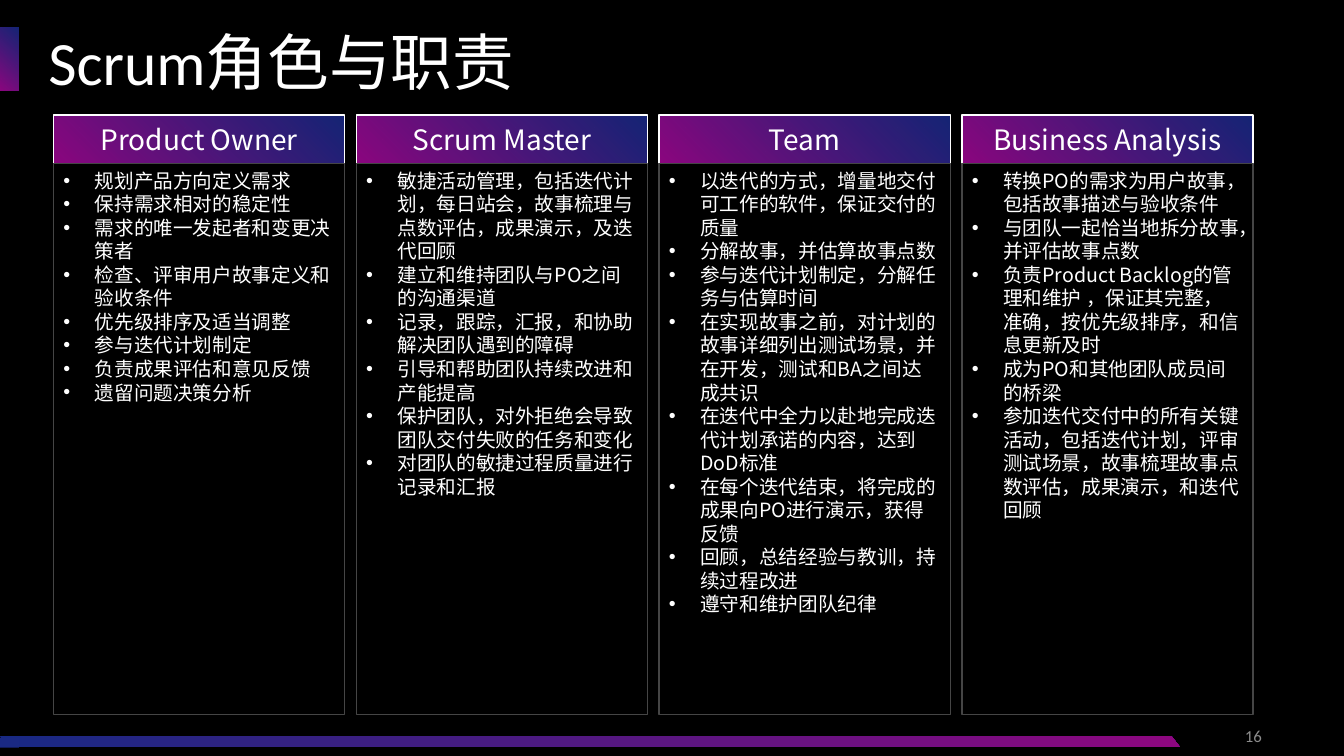
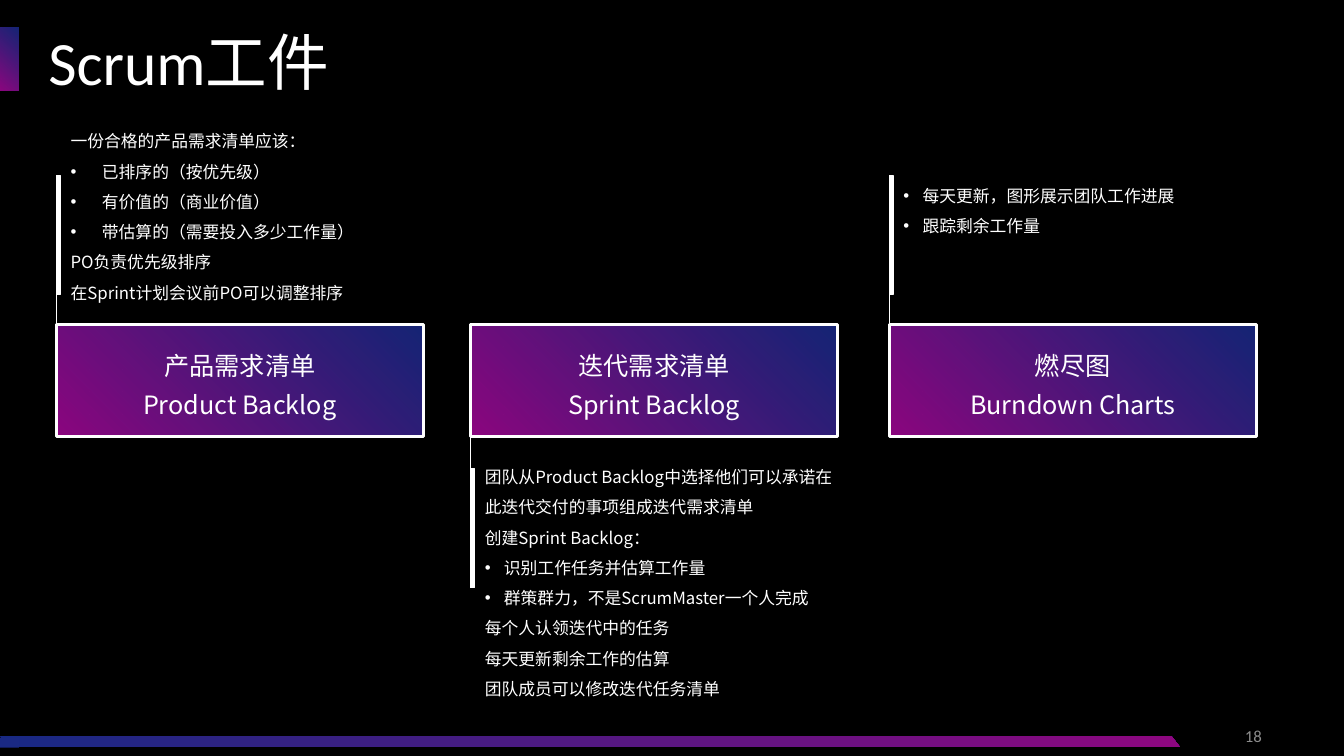
import pptx
import pptx.dml.color
import pptx.enum.shapes
import pptx.enum.text
import pptx.oxml.ns
import pptx.util
import lxml.etree

Cm = pptx.util.Cm
Pt = pptx.util.Pt
SHAPE = pptx.enum.shapes.MSO_SHAPE
ALIGN = pptx.enum.text.PP_ALIGN
ANCHOR = pptx.enum.text.MSO_ANCHOR

BULLET = "• "


def color(value):
    return pptx.dml.color.RGBColor.from_string(value)


def add_xml(parent, tag, **attributes):
    return lxml.etree.SubElement(parent, pptx.oxml.ns.qn(tag), attributes)


class Slides:
    BLUE, PURPLE, WHITE = "182983", "8D0780", "FFFFFF"
    BLACK, FRAME, NUMBER = "000000", "454545", "8C8C8C"
    HEADING_FONT, BODY_FONT = "Calibri", "Noto Sans CJK SC"

    def __init__(self):
        self.deck = pptx.Presentation()
        self.deck.slide_width, self.deck.slide_height = Cm(33.87), Cm(19.05)
        self.page = None

    def start(self, title, number):
        self.page = self.deck.slides.add_slide(self.deck.slide_layouts[6])
        background = self.page.background.fill
        background.solid()
        background.fore_color.rgb = color(self.BLACK)
        self.gradient(self.shape(0, 0.69, 0.46, 1.6))
        band = self.shape(0, 18.55, 29.74, 0.28, kind=SHAPE.PARALLELOGRAM)
        band.adjustments[0] = 0.775
        band.element.spPr.find(pptx.oxml.ns.qn("a:xfrm")).set("flipH", "1")
        self.gradient(band, angle=180, opacity=100)
        self.shape(0, 18.59, 0.48, 0.25, fill="1A2983")
        self.textbox(24.43, 18.03, 7.62, 1.02, [number], margins=(0.25, 0.13), size=12,
                     font=self.HEADING_FONT, ink=self.NUMBER, align=ALIGN.RIGHT,
                     anchor=ANCHOR.MIDDLE)
        self.textbox(0.97, 0.69, 28.19, 1.6, [title], margins=(0.25, 0.13), size=44,
                     font=self.HEADING_FONT, spacing=0.9)

    def shape(self, left, top, width, height, fill=None, line=None, weight=1,
              kind=SHAPE.RECTANGLE):
        box = self.page.shapes.add_shape(kind, Cm(left), Cm(top), Cm(width), Cm(height))
        box.shadow.inherit = False
        if fill:
            box.fill.solid()
            box.fill.fore_color.rgb = color(fill)
        else:
            box.fill.background()
        if line:
            box.line.color.rgb = color(line)
            box.line.width = Pt(weight)
        else:
            box.line.fill.background()
        return box

    def gradient(self, box, angle=135, opacity=90):
        box.fill.gradient()
        box.fill.gradient_angle = 360 - angle
        stops = box.fill.gradient_stops
        for stop, value, position in zip(stops, (self.BLUE, self.PURPLE), (0, 1)):
            stop.color.rgb = color(value)
            stop.position = position
        if opacity < 100:
            first = box.element.spPr.find(".//" + pptx.oxml.ns.qn("a:srgbClr"))
            add_xml(first, "a:alpha", val=str(opacity * 1000))

    def set_text(self, box, lines, size, margins=(0.25, 0.13), font=BODY_FONT, ink=WHITE,
                 align=ALIGN.LEFT, anchor=ANCHOR.TOP, spacing=None, indent=0.79):
        frame = box.text_frame
        frame.word_wrap = True
        frame.vertical_anchor = anchor
        frame.margin_left = frame.margin_right = Cm(margins[0])
        frame.margin_top = frame.margin_bottom = Cm(margins[1])
        frame.text = "\n".join(line.removeprefix(BULLET) for line in lines)
        for line, para in zip(lines, frame.paragraphs):
            para.alignment = align
            if spacing:
                para.line_spacing = spacing
            if line.startswith(BULLET):
                properties = para._p.get_or_add_pPr()
                properties.set("marL", str(Cm(indent)))
                properties.set("indent", str(-Cm(indent)))
                add_xml(properties, "a:buFont", typeface="Arial")
                add_xml(properties, "a:buChar", char=BULLET.strip())
            for span in para.runs:
                span.font.size = Pt(size)
                span.font.name = font
                span.font.color.rgb = color(ink)
                add_xml(span._r.get_or_add_rPr(), "a:ea", typeface=self.BODY_FONT)

    def textbox(self, left, top, width, height, lines, **style):
        box = self.page.shapes.add_textbox(Cm(left), Cm(top), Cm(width), Cm(height))
        self.set_text(box, lines, **style)

    def panel(self, left, top, width, height, lines, weight=1, **style):
        box = self.shape(left, top, width, height, line=self.WHITE, weight=weight)
        self.gradient(box)
        self.set_text(box, lines, align=ALIGN.CENTER, anchor=ANCHOR.MIDDLE, **style)

    def role(self, left, name, duties):
        top, width, header = 2.9, 7.34, 1.22
        self.panel(left, top, width, header, [name], size=20)
        body = self.shape(left, top + header, width, 13.89, line=self.FRAME)
        self.set_text(body, [BULLET + duty for duty in duties], size=14)

    def line(self, left, top, bottom):
        link = self.page.shapes.add_connector(
            pptx.enum.shapes.MSO_CONNECTOR.STRAIGHT, Cm(left), Cm(top), Cm(left), Cm(bottom))
        link.line.color.rgb = color(self.WHITE)
        link.line.width = Pt(0.5)
        add_xml(link.element.spPr, "a:effectLst")

    def artifact(self, left, names, bar_top, note_top, note_height, notes, indent):
        top, width, height, bar_height, gap = 8.18, 9.25, 2.82, 3, 0.36
        self.line(left, min(bar_top, top), max(bar_top + bar_height, top + height))
        self.shape(left, bar_top, 0.1, bar_height, fill=self.WHITE, line=self.WHITE)
        self.panel(left, top, width, height, names, weight=2, size=18,
                   margins=(0.36, 0.18), spacing=1.3)
        self.textbox(left + gap, note_top, width - gap, note_height, notes, size=12,
                     margins=(0, 0), spacing=1.5, indent=indent)


ROLES = {
    "Product Owner": [
        "规划产品方向定义需求",
        "保持需求相对的稳定性",
        "需求的唯一发起者和变更决策者",
        "检查、评审用户故事定义和验收条件",
        "优先级排序及适当调整",
        "参与迭代计划制定",
        "负责成果评估和意见反馈",
        "遗留问题决策分析",
    ],
    "Scrum Master": [
        "敏捷活动管理，包括迭代计划，每日站会，故事梳理与点数评估，成果演示，及迭代回顾",
        "建立和维持团队与PO之间的沟通渠道",
        "记录，跟踪，汇报，和协助解决团队遇到的障碍",
        "引导和帮助团队持续改进和产能提高",
        "保护团队，对外拒绝会导致团队交付失败的任务和变化",
        "对团队的敏捷过程质量进行记录和汇报",
    ],
    "Team": [
        "以迭代的方式，增量地交付可工作的软件，保证交付的质量",
        "分解故事，并估算故事点数",
        "参与迭代计划制定，分解任务与估算时间",
        "在实现故事之前，对计划的故事详细列出测试场景，并在开发，测试和BA之间达成共识",
        "在迭代中全力以赴地完成迭代计划承诺的内容，达到DoD标准",
        "在每个迭代结束，将完成的成果向PO进行演示，获得反馈",
        "回顾，总结经验与教训，持续过程改进",
        "遵守和维护团队纪律",
    ],
    "Business Analysis": [
        "转换PO的需求为用户故事，包括故事描述与验收条件",
        "与团队一起恰当地拆分故事，并评估故事点数",
        "负责Product Backlog的管理和维护 ，保证其完整，准确，按优先级排序，和信息更新及时",
        "成为PO和其他团队成员间的桥梁",
        "参加迭代交付中的所有关键活动，包括迭代计划，评审测试场景，故事梳理故事点数评估，"
        "成果演示，和迭代回顾",
    ],
}

ARTIFACTS = [
    (1.42, ["产品需求清单", "Product Backlog"], 4.42, 3.05, 4.93, [
        "一份合格的产品需求清单应该：",
        "• 已排序的（按优先级）",
        "• 有价值的（商业价值）",
        "• 带估算的（需要投入多少工作量）",
        "PO负责优先级排序",
        "在Sprint计划会议前PO可以调整排序",
    ], 0.79),
    (11.86, ["迭代需求清单", "Sprint Backlog"], 11.81, 11.51, 6.22, [
        "团队从Product Backlog中选择他们可以承诺在此迭代交付的事项组成迭代需求清单",
        "创建Sprint Backlog：",
        "• 识别工作任务并估算工作量",
        "• 群策群力，不是ScrumMaster一个人完成",
        "每个人认领迭代中的任务",
        "每天更新剩余工作的估算",
        "团队成员可以修改迭代任务清单",
    ], 0.48),
    (22.41, ["燃尽图", "Burndown Charts"], 4.42, 4.42, 2.18, [
        "• 每天更新，图形展示团队工作进展",
        "• 跟踪剩余工作量",
    ], 0.48),
]


def main():
    slides = Slides()
    slides.start("Scrum角色与职责", "16")
    for column, (name, duties) in enumerate(ROLES.items()):
        slides.role(1.35 + column * 7.63, name, duties)
    slides.start("Scrum工件", "18")
    for artifact in ARTIFACTS:
        slides.artifact(*artifact)
    slides.deck.save("out.pptx")


if __name__ == "__main__":
    main()
